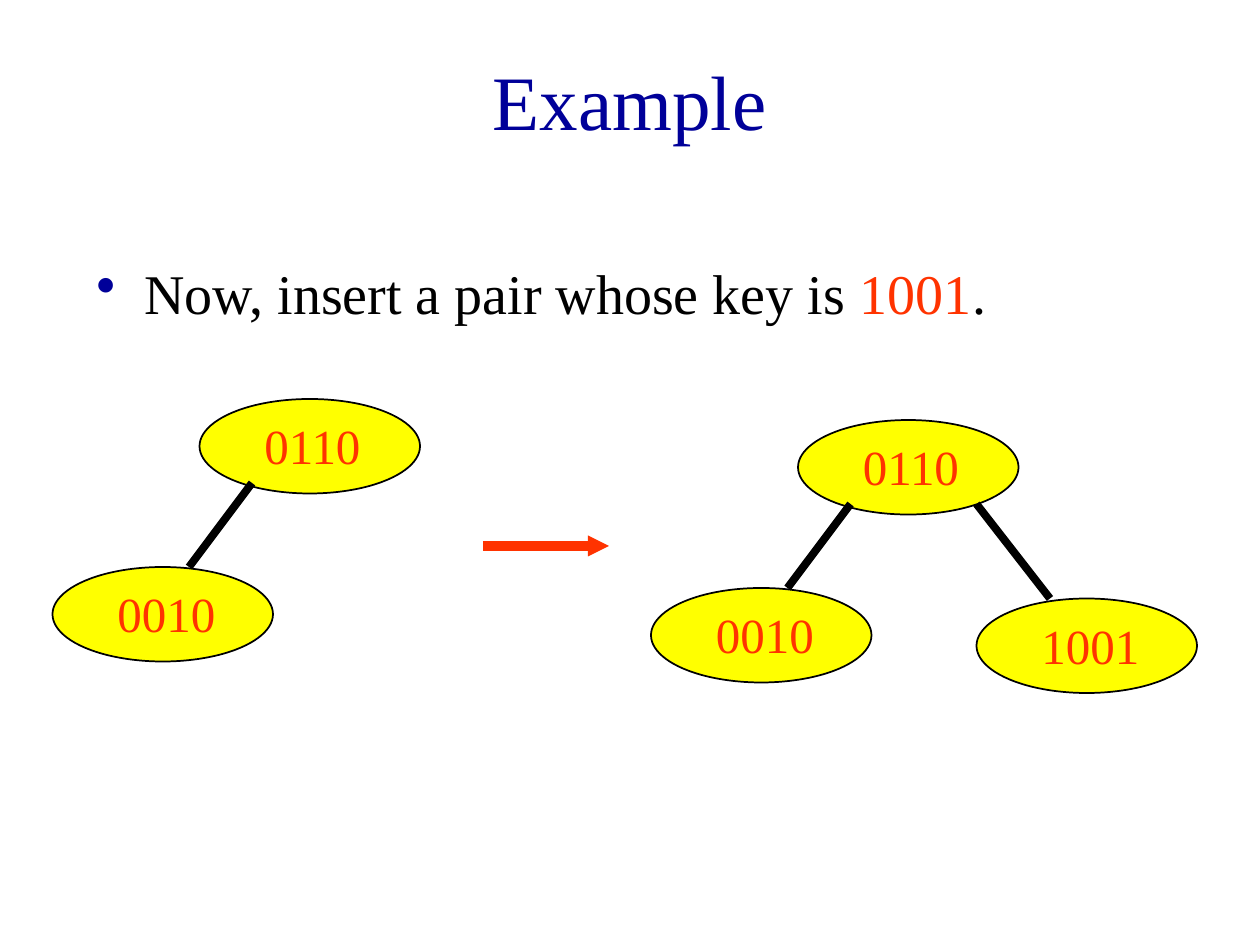
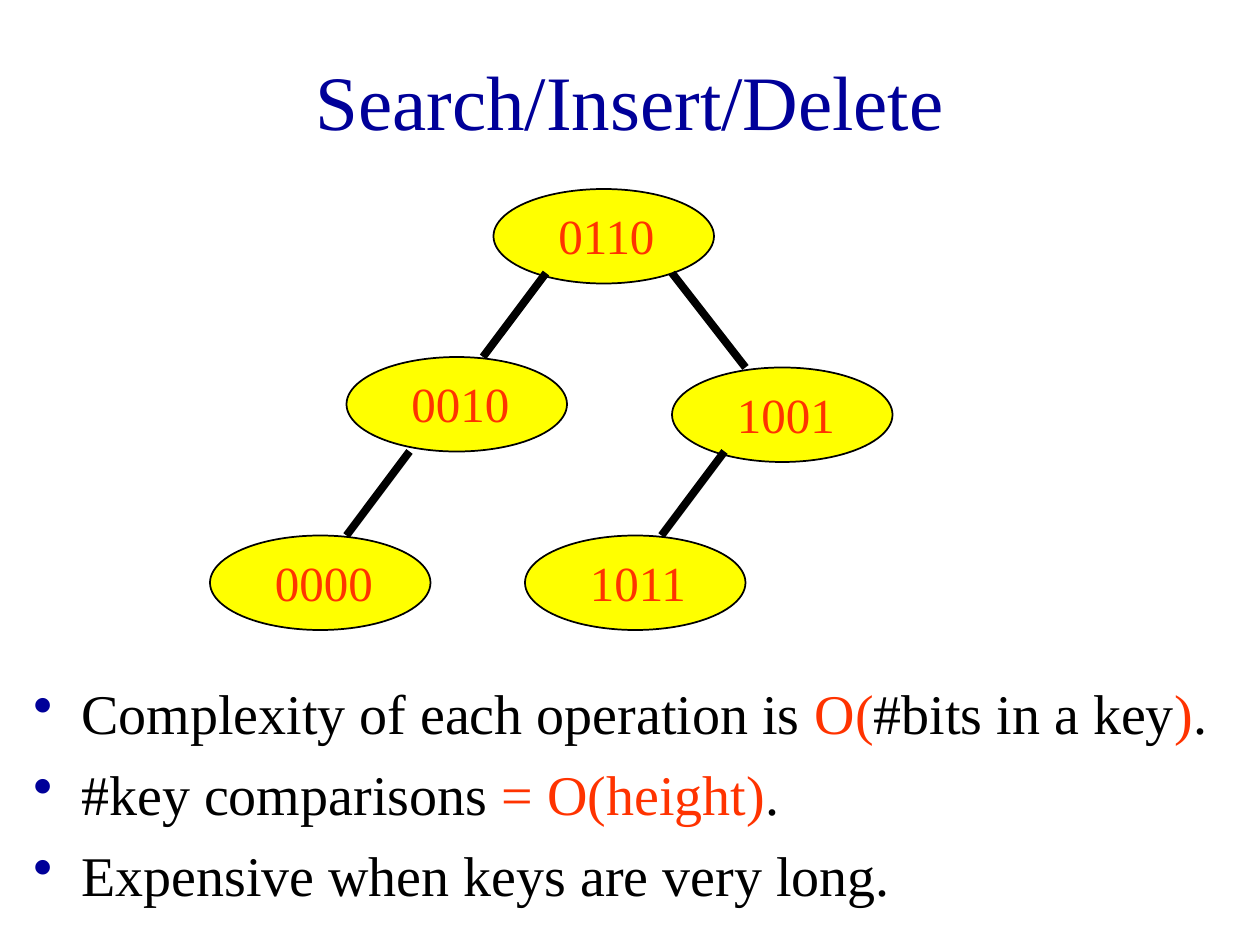
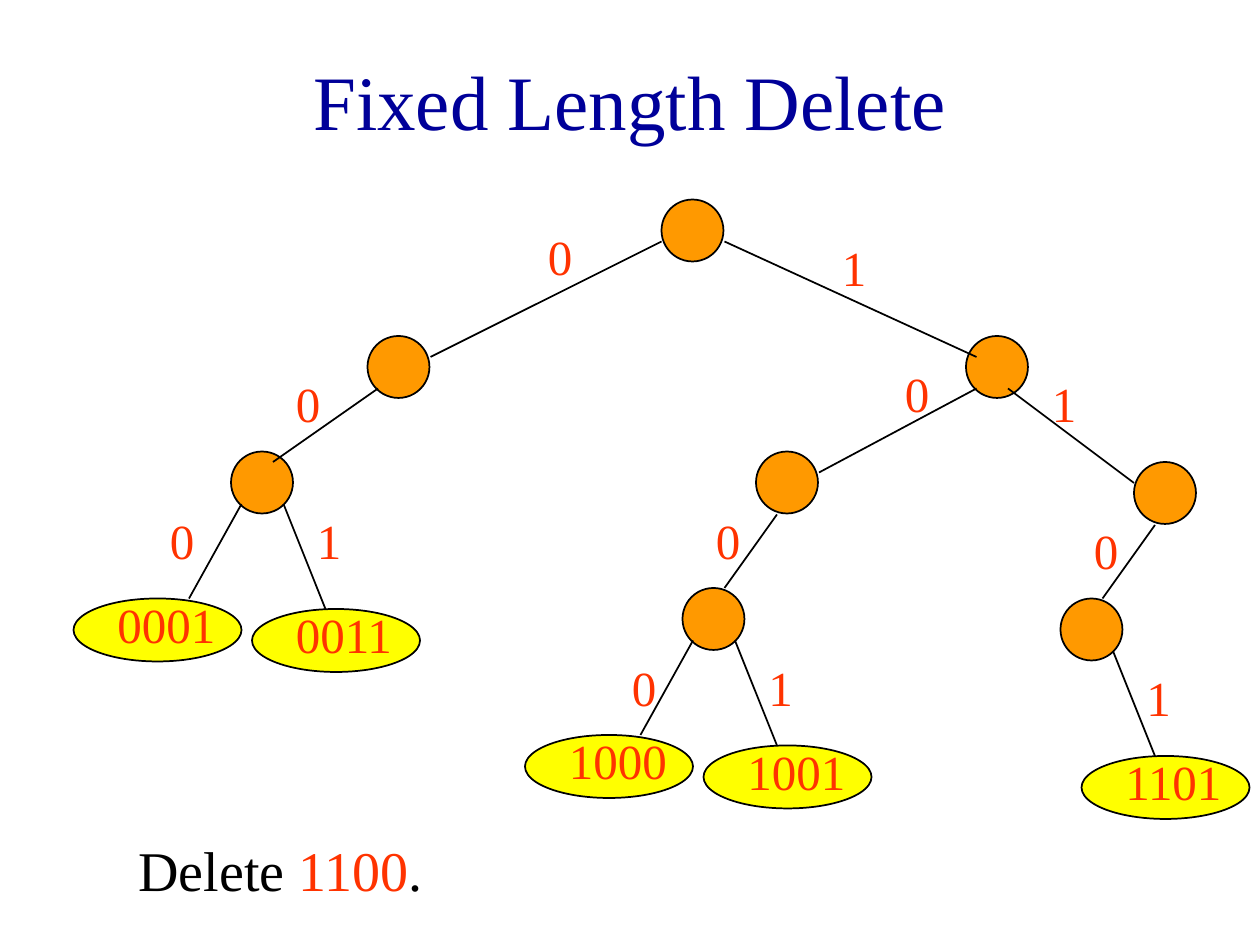
from lxml import etree
from pptx import Presentation
from pptx.dml.color import RGBColor
from pptx.enum.shapes import MSO_CONNECTOR, MSO_SHAPE
from pptx.enum.text import MSO_ANCHOR, PP_ALIGN
from pptx.oxml.ns import qn
from pptx.util import Inches, Pt

OVAL = MSO_SHAPE.OVAL
STRAIGHT = MSO_CONNECTOR.STRAIGHT
MIDDLE = MSO_ANCHOR.MIDDLE
TOP = MSO_ANCHOR.TOP
CENTER = PP_ALIGN.CENTER
LEFT = PP_ALIGN.LEFT

FONT = "Times New Roman"
NAVY, RED, BLACK = "000099", "FF3300", "000000"
YELLOW, ORANGE, WHITE = "FFFF00", "FF9900", "FFFFFF"
colour = RGBColor.from_string

presentation = Presentation()
presentation.slide_width = Inches(10)
presentation.slide_height = Inches(7.5)
CELL = presentation.slide_width // 120
LABEL_HEIGHT = 6.84


def cells(*values):
    return [round(value * CELL) for value in values]


def add_text(slide, box, paragraphs, size, align=LEFT, anchor=TOP, bullet=False):
    shape = slide.shapes.add_textbox(*cells(*box))
    frame = shape.text_frame
    frame.word_wrap = True
    frame.vertical_anchor = anchor
    for index, runs in enumerate(paragraphs):
        paragraph = frame.add_paragraph() if index else frame.paragraphs[0]
        paragraph.alignment = align
        if bullet:
            properties = paragraph._p.get_or_add_pPr()
            properties.set("marL", str(Inches(0.38)))
            properties.set("indent", str(-Inches(0.38)))
            bullet_colour = etree.SubElement(properties, qn("a:buClr"))
            etree.SubElement(bullet_colour, qn("a:srgbClr"), val=NAVY)
            etree.SubElement(properties, qn("a:buChar"), char="•")
        if index:
            paragraph.space_before = Pt(8)
        paragraph.font.name = FONT
        paragraph.font.size = Pt(size)
        for text, text_colour in runs:
            run = paragraph.add_run()
            run.text = text
            run.font.color.rgb = colour(text_colour)
    return shape


KEY_NODE = {"size": (21, 9), "fill": YELLOW, "label": (5, 1)}
BRANCH = {"size": (5.9, 5.9), "fill": ORANGE, "label": None}
LEAF = {"size": (16, 6), "fill": YELLOW, "label": (3, -1)}

slides = [
    {
        "title": "Example",
        "bullets": (8, 24, 102, 9),
        "lines": [[("Now, insert a pair whose key is ", BLACK), ("1001", RED), (".", BLACK)]],
        "nodes": [
            (KEY_NODE, [(19, 38, "0110"), (5, 54, "0010"), (76, 40, "0110"),
                        (62, 56, "0010"), (93, 57, "1001")]),
        ],
        "edge_width": 4.5,
        "edges": [(24, 46, 18, 54), (81, 48, 75, 56), (93, 48, 100, 57)],
        "bits": {},
    },
    {
        "title": "Search/Insert/Delete",
        "bullets": (2, 64, 117, 22),
        "lines": [
            [("Complexity of each operation is ", BLACK), ("O(", RED),
             ("#bits in a key", BLACK), (")", RED), (".", BLACK)],
            [("#key comparisons ", BLACK), ("= O(height)", RED), (".", BLACK)],
            [("Expensive when keys are very long.", BLACK)],
        ],
        "nodes": [
            (KEY_NODE, [(47, 18, "0110"), (33, 34, "0010"), (64, 35, "1001"),
                        (20, 51, "0000"), (50, 51, "1011")]),
        ],
        "edge_width": 4.5,
        "edges": [(52, 26, 46, 34), (64, 26, 71, 35), (39, 43, 33, 51), (69, 43, 63, 51)],
        "bits": {},
    },
    {
        "title": "Fixed Length Delete",
        "bullets": None,
        "nodes": [
            (BRANCH, [(63, 19, ""), (35, 32, ""), (92, 32, ""), (22, 43, ""),
                      (72, 43, ""), (108, 44, ""), (65, 56, ""), (101, 57, "")]),
            (LEAF, [(7, 57, "0001"), (24, 58, "0011"), (50, 70, "1000"),
                    (67, 71, "1001"), (103, 72, "1101")]),
        ],
        "edge_width": 1,
        "edges": [(63, 23, 41, 34), (69, 23, 93, 34), (36, 37, 26, 44), (93, 37, 78, 45),
                  (96, 37, 108, 46), (23, 48, 18, 57), (27, 48, 31, 58), (74, 49, 69, 56),
                  (110, 50, 105, 57), (66, 61, 61, 70), (70, 61, 74, 71), (106, 62, 110, 72)],
        "bits": {
            "0": [(51, 21), (27, 35), (85, 34), (15, 48), (67, 48), (103, 49), (59, 62)],
            "1": [(79, 22), (99, 35), (29, 48), (72, 62), (108, 63)],
        },
    },
]

for content in slides:
    slide = presentation.slides.add_slide(presentation.slide_layouts[6])
    add_text(slide, (9, 2, 102, 15), [[(content["title"], NAVY)]], 44, CENTER, MIDDLE)

    if content["bullets"]:
        add_text(slide, content["bullets"], content["lines"], 32, bullet=True)
    else:
        task = add_text(slide, (12, 79, 39, 7.7),
                        [[("Delete", BLACK), (" 1100", RED), (".", BLACK)]], 32)
        task.fill.solid()
        task.fill.fore_color.rgb = colour(WHITE)

    for style, nodes in content["nodes"]:
        for left, top, key in nodes:
            node = slide.shapes.add_shape(OVAL, *cells(left, top, *style["size"]))
            node.shadow.inherit = False
            node.fill.solid()
            node.fill.fore_color.rgb = colour(style["fill"])
            node.line.color.rgb = colour(BLACK)
            node.line.width = Pt(1)
            if key:
                right_shift, down_shift = style["label"]
                label_box = (left + right_shift, top + down_shift, 14, LABEL_HEIGHT)
                add_text(slide, label_box, [[(key, RED)]], 28)

    connectors = [(edge, BLACK, content["edge_width"]) for edge in content["edges"]]
    if content["title"] == "Example":
        connectors.append(((46, 52, 58, 52), RED, 6))
    for ends, line_colour, width in connectors:
        connector = slide.shapes.add_connector(STRAIGHT, *cells(*ends))
        connector.line.color.rgb = colour(line_colour)
        connector.line.width = Pt(width)
        if line_colour == RED:
            etree.SubElement(connector.line._get_or_add_ln(), qn("a:tailEnd"),
                             type="triangle", w="sm", len="sm")
        etree.SubElement(connector._element.spPr, qn("a:effectLst"))

    for bit, places in content["bits"].items():
        for left, top in places:
            add_text(slide, (left, top, 6, LABEL_HEIGHT), [[(bit, RED)]], 28)

presentation.save("out.pptx")
